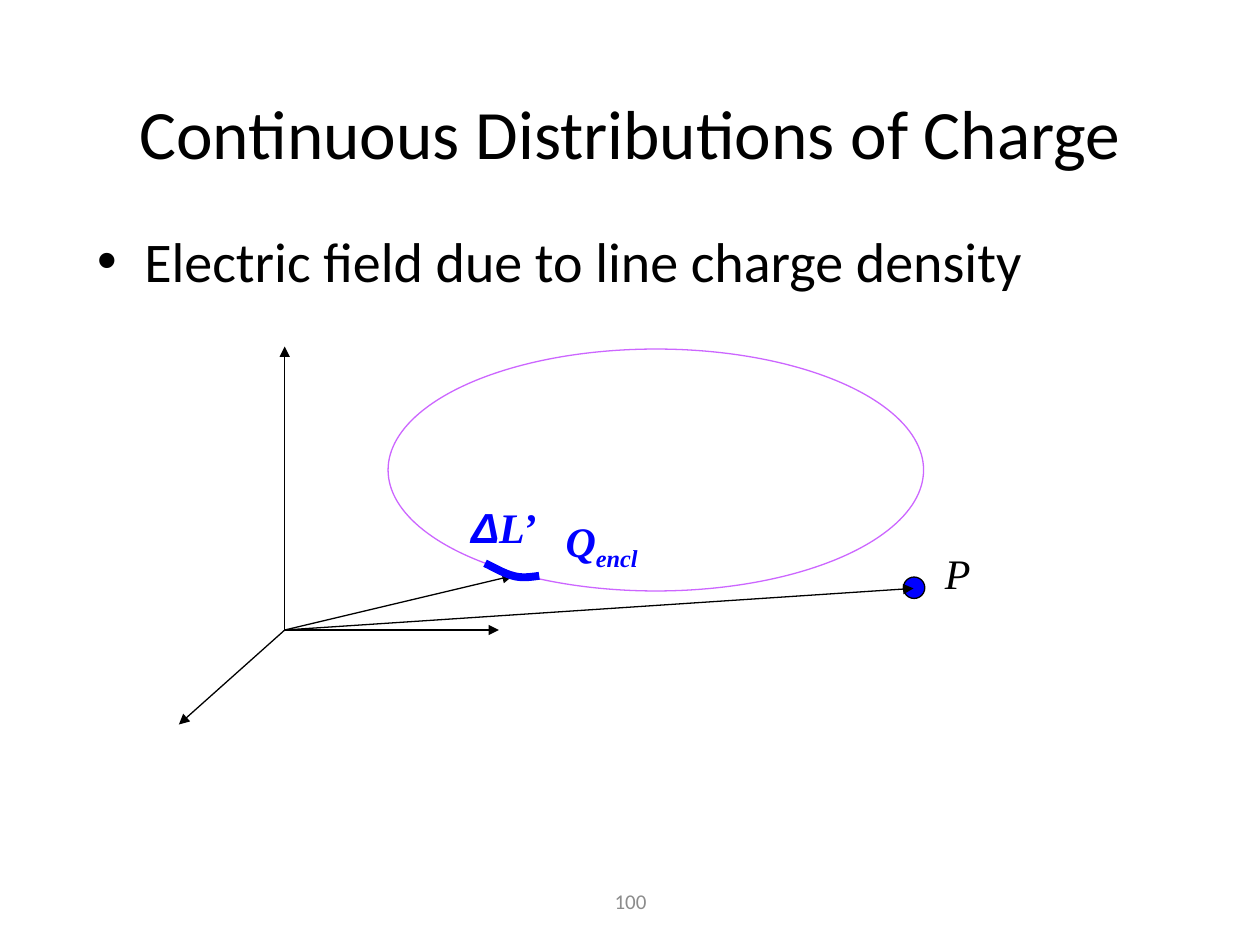
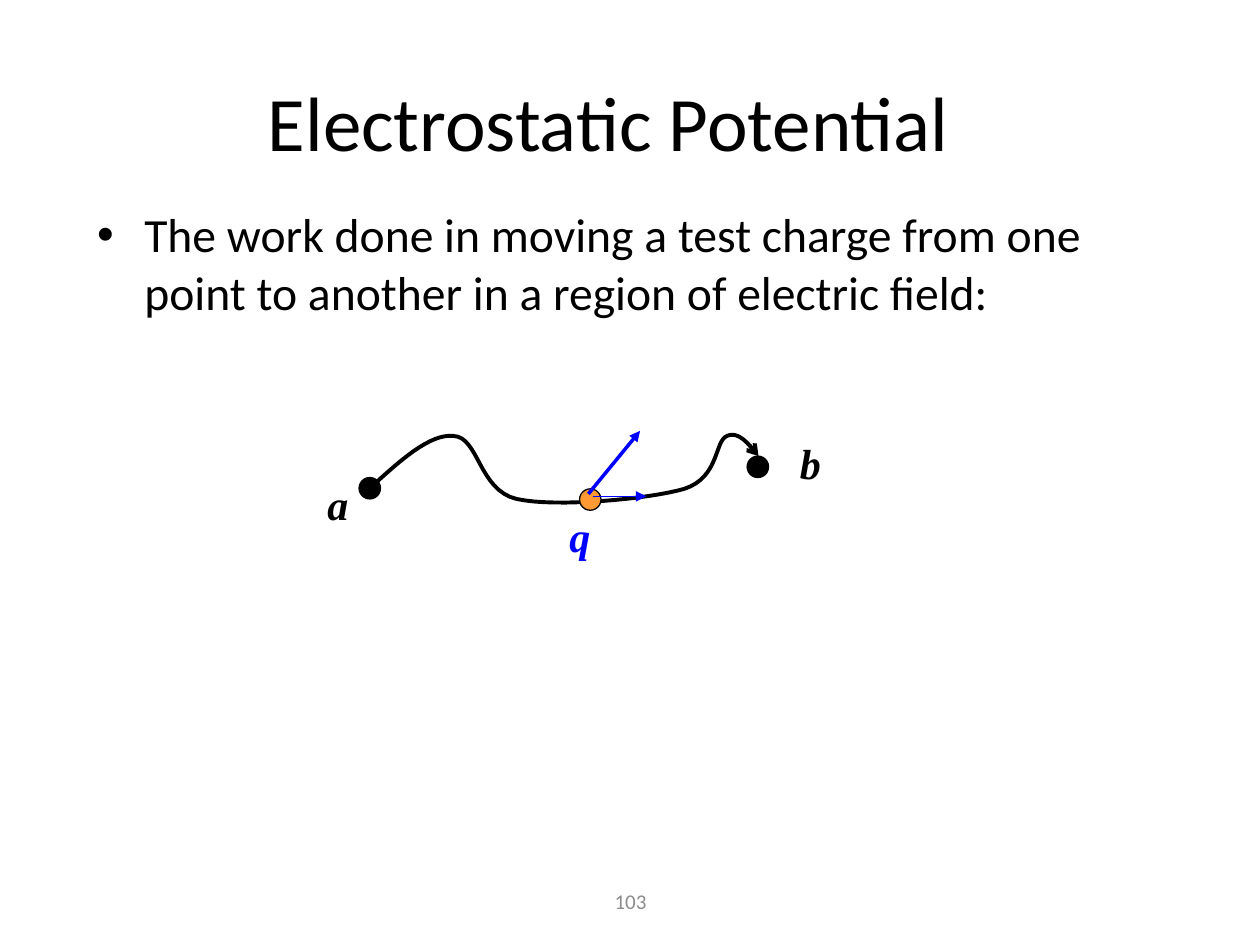
from dataclasses import dataclass
from lxml.etree import SubElement
from pptx import Presentation
from pptx.dml.color import RGBColor
from pptx.enum.shapes import MSO_CONNECTOR, MSO_SHAPE
from pptx.enum.text import MSO_ANCHOR, MSO_AUTO_SIZE, PP_ALIGN
from pptx.oxml.ns import qn
from pptx.util import Inches, Pt


@dataclass(frozen=True)
class Theme:
    black: RGBColor = RGBColor(0, 0, 0)
    blue: RGBColor = RGBColor(0, 0, 0xFF)
    violet: RGBColor = RGBColor(0xCC, 0x66, 0xFF)
    orange: RGBColor = RGBColor(0xFF, 0x99, 0x33)
    gray: RGBColor = RGBColor(0x8C, 0x8C, 0x8C)
    sans: str = "Calibri"
    serif: str = "Times New Roman"
    greek: str = "Arial"
    label: float = 24
    foot: float = 12
    thin: float = 0.75


theme = Theme()
DOT = 0.17
STEPS = 16


def ink(shape, color, width, tip=None):
    """Style the outline, add an arrow tip if given, and drop the shadow."""
    shape.line.color.rgb = color
    shape.line.width = Pt(width)
    if tip:
        SubElement(shape.line._get_or_add_ln(), qn("a:tailEnd"), type=tip)
    SubElement(shape._element.spPr, qn("a:effectLst"))


def bezier(start, curves):
    """Return points along a chain of cubic curves, in EMU."""
    points = []
    for a, b, end in curves:
        for step in range(1, STEPS + 1):
            t = step / STEPS
            u = 1 - t
            points.append(tuple(
                Inches(u**3 * p + 3 * u * u * t * q + 3 * u * t * t * r + t**3 * s)
                for p, q, r, s in zip(start, a, b, end)))
        start = end
    return points


origin = (2.26, 5)
arc = [((3.93, 4.51), (4, 4.55), (4.07, 4.57)),
       ((4.14, 4.59), (4.21, 4.58), (4.28, 4.57))]
route = [((3.17, 3.66), (3.41, 3.44), (3.6, 3.46)),
         ((3.8, 3.47), (3.8, 3.89), (4.1, 3.96)),
         ((4.41, 4.03), (5.16, 3.96), (5.43, 3.88)),
         ((5.71, 3.79), (5.67, 3.5), (5.77, 3.46)),
         ((5.86, 3.42), (5.94, 3.52), (6.02, 3.62))]

# Parts are listed from back to front.
# oval: left, top, width, height, fill, line
# arrow: from, to, colour, width
# curve: start, curves, colour, width, tip
# label: left, top, width, runs (text, font, baseline), colour, bold
pages = [
    dict(
        number="100", title="Continuous Distributions of Charge", size=39.6,
        head=(0.75, 0.42, 8.5, 1.25), body=(0.67, 1.75, 8.5, 4.5),
        text="Electric field due to line charge density", text_size=32,
        parts=[
            ("oval", 7.17, 4.58, DOT, DOT, theme.blue, theme.black),
            ("oval", 3.08, 2.77, 4.25, 1.92, None, theme.violet),
            *[("arrow", origin, end, theme.black, theme.thin)
              for end in [(2.26, 2.75), (3.96, 5), (1.42, 5.75),
                          (4.07, 4.57), (7.25, 4.67)]],
            ("curve", (3.85, 4.47), arc, theme.blue, 4.5, None),
            ("label", 4.39, 4.04, 0.83,
             [("Q", theme.serif, 0), ("encl", theme.serif, -25000)], theme.blue, True),
            ("label", 3.64, 3.93, 0.72,
             [("Δ", theme.greek, 0), ("L’", theme.serif, 0)], theme.blue, True),
            ("label", 7.4, 4.3, 0.4, [("P", theme.serif, 0)], theme.black, False),
        ]),
    dict(
        number="103", title="Electrostatic Potential", size=44,
        head=(0.58, 0.33, 8.5, 1.25), body=(0.67, 1.58, 8.5, 1.08),
        text="The work done in moving a test charge from one point to another "
             "in a region of electric field:", text_size=27.2,
        parts=[
            ("curve", (2.93, 3.88), route, theme.black, 2.25, "arrow"),
            ("oval", 2.85, 3.79, DOT, DOT, theme.black, theme.black),
            ("oval", 5.93, 3.62, DOT, DOT, theme.black, theme.black),
            ("oval", 4.6, 3.88, DOT, DOT, theme.orange, theme.black),
            ("label", 2.5, 3.75, 0.37, [("a", theme.serif, 0)], theme.black, True),
            ("label", 6.25, 3.42, 0.37, [("b", theme.serif, 0)], theme.black, True),
            ("label", 4.42, 4, 0.37, [("q", theme.serif, 0)], theme.blue, True),
            ("arrow", (4.67, 3.92), (5.08, 3.42), theme.blue, 2),
            ("arrow", (4.71, 3.94), (5.13, 3.94), theme.blue, theme.thin),
        ]),
]

deck = Presentation()
deck.slide_width, deck.slide_height = Inches(10), Inches(7.5)

for page in pages:
    slide = deck.slides.add_slide(deck.slide_layouts[1])
    shapes = slide.shapes
    title, body = slide.placeholders
    foot = shapes.add_textbox(0, 0, 0, 0)
    for box, place, text, size, color in [
            (title, page["head"], page["title"], page["size"], theme.black),
            (body, page["body"], page["text"], page["text_size"], theme.black),
            (foot, (3.42, 6.95, 3.17, 0.4), page["number"], theme.foot, theme.gray)]:
        box.left, box.top, box.width, box.height = map(Inches, place)
        frame = box.text_frame
        frame.text = text
        frame.word_wrap = True
        frame.auto_size = MSO_AUTO_SIZE.NONE
        frame.vertical_anchor = MSO_ANCHOR.TOP if box is body else MSO_ANCHOR.MIDDLE
        para = frame.paragraphs[0]
        para.alignment = PP_ALIGN.LEFT if box is body else PP_ALIGN.CENTER
        para.space_before = Pt(0)
        para.font.name = theme.sans
        para.font.size = Pt(size)
        para.font.color.rgb = color

    for kind, *part in page["parts"]:
        if kind == "oval":
            *place, fill, line = part
            oval = shapes.add_shape(MSO_SHAPE.OVAL, *map(Inches, place))
            if fill is None:
                oval.fill.background()
            else:
                oval.fill.solid()
                oval.fill.fore_color.rgb = fill
            ink(oval, line, theme.thin)
        elif kind == "arrow":
            start, end, color, width = part
            arrow = shapes.add_connector(
                MSO_CONNECTOR.STRAIGHT, *map(Inches, start + end))
            ink(arrow, color, width, "triangle")
        elif kind == "curve":
            start, curves, color, width, tip = part
            pen = shapes.build_freeform(*map(Inches, start))
            pen.add_line_segments(bezier(start, curves), close=False)
            curve = pen.convert_to_shape()
            curve.fill.background()
            ink(curve, color, width, tip)
        else:
            left, top, width, runs, color, bold = part
            label = shapes.add_textbox(*map(Inches, (left, top, width, 0.5)))
            frame = label.text_frame
            frame.word_wrap = False
            frame.auto_size = MSO_AUTO_SIZE.SHAPE_TO_FIT_TEXT
            para = frame.paragraphs[0]
            para.font.size = Pt(theme.label)
            para.font.bold, para.font.italic = bold, True
            para.font.color.rgb = color
            for text, face, shift in runs:
                run = para.add_run()
                run.text = text
                run.font.name = face
                if shift:
                    run._r.get_or_add_rPr().set("baseline", str(shift))

deck.save("out.pptx")
